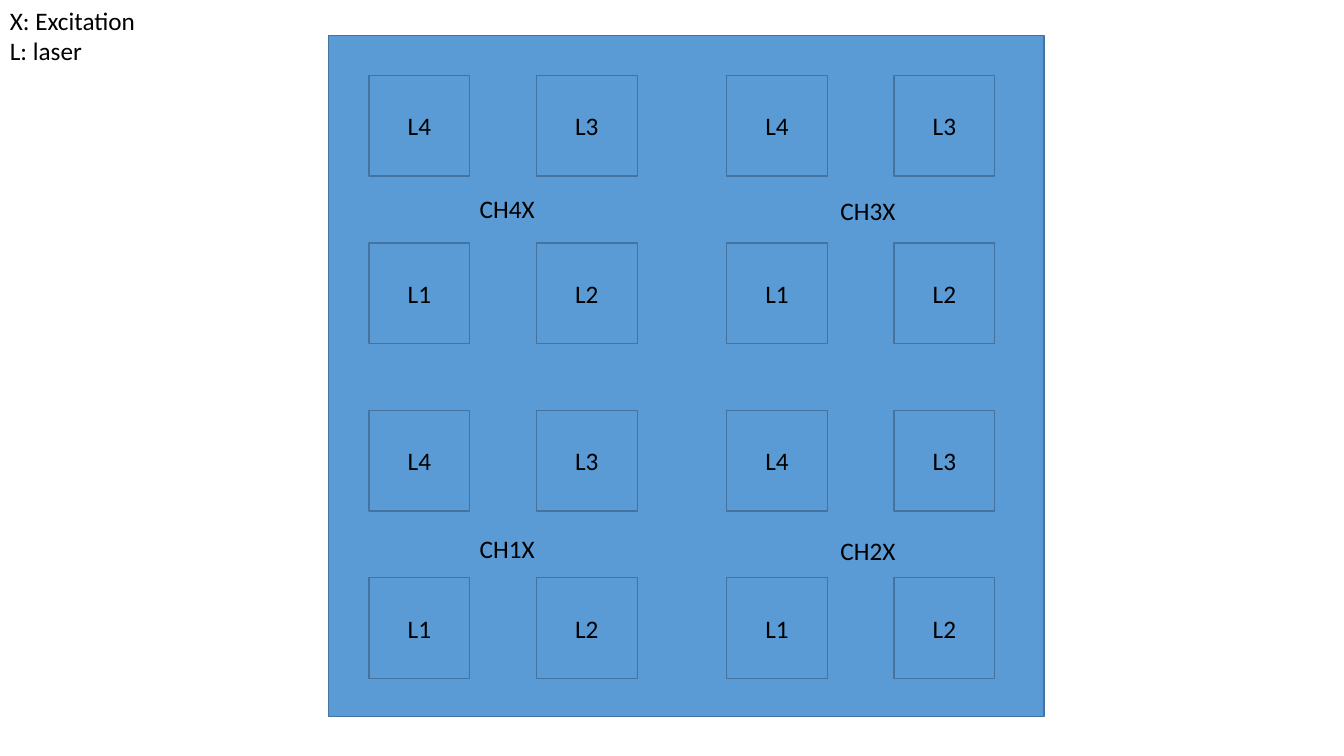
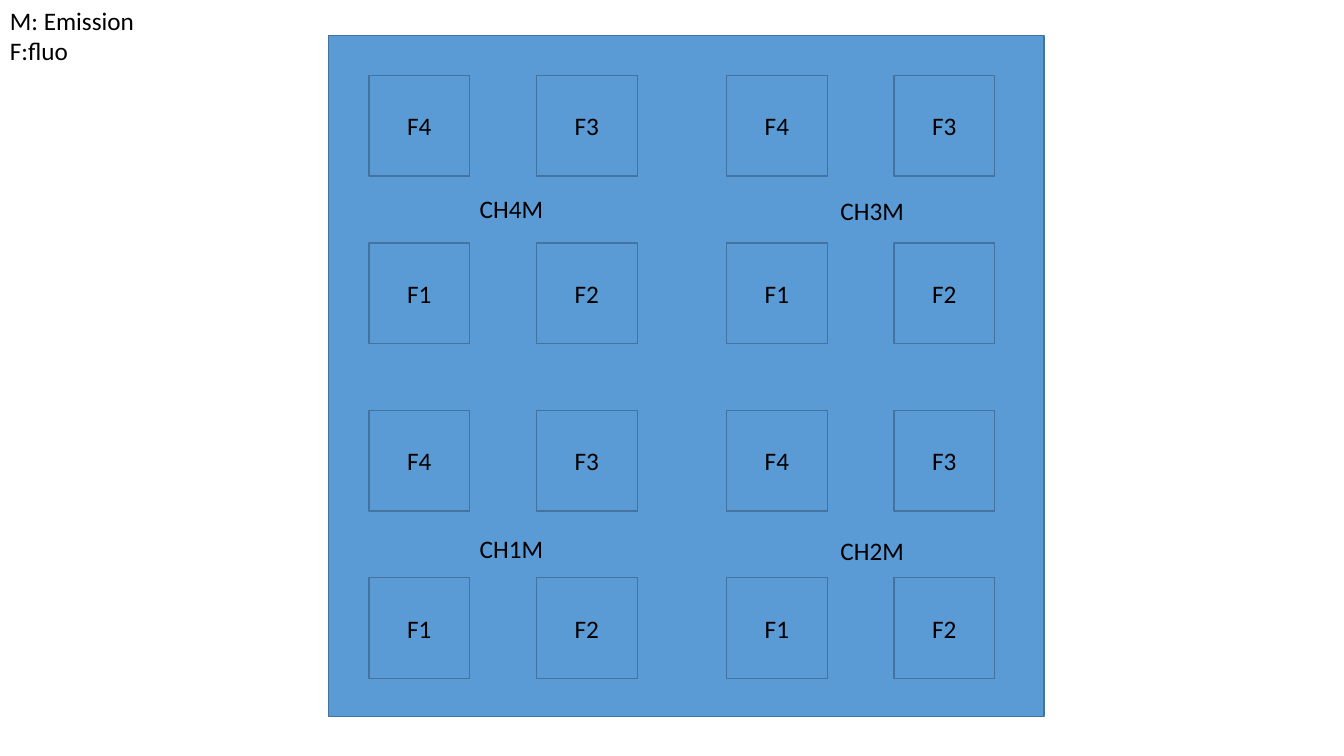
import pptx
import pptx.dml.color
import pptx.enum.shapes
import pptx.enum.text
import pptx.util

Cm = pptx.util.Cm
Pt = pptx.util.Pt
RGBColor = pptx.dml.color.RGBColor
PP_ALIGN = pptx.enum.text.PP_ALIGN

BLUE = RGBColor(0x5B, 0x9B, 0xD5)
DARK_BLUE = RGBColor(0x43, 0x73, 0x9E)
BLACK = RGBColor(0, 0, 0)
FONT = "Calibri"

# All lengths below are in centimetres.
PANEL = (8.28, 0.89, 18.03, 17.17)
CELL = 2.54
CELL_PITCH = 4.22
CELL_NUMBERS = ((4, 3), (1, 2))

# Channel number, corner of its first cell, corner of its caption
CHANNELS = (
    (4, (9.3, 1.9), (11.84, 4.75)),
    (3, (18.31, 1.9), (20.93, 4.8)),
    (1, (9.3, 10.34), (11.84, 13.31)),
    (2, (18.31, 10.34), (20.93, 13.36)),
)

# Legend lines, channel suffix, cell prefix
LAYOUTS = (
    (("X: Excitation", "L: laser"), "X", "L"),
    (("M: Emission", "F:fluo"), "M", "F"),
)


def add_run(paragraph, text):
    run = paragraph.add_run()
    run.text = text
    run.font.name = FONT
    run.font.size = Pt(18)
    run.font.color.rgb = BLACK


def add_box(slide, left, top, width, height, label=None):
    box = slide.shapes.add_shape(
        pptx.enum.shapes.MSO_SHAPE.RECTANGLE,
        Cm(left), Cm(top), Cm(width), Cm(height))
    box.shadow.inherit = False
    box.fill.solid()
    box.fill.fore_color.rgb = BLUE
    box.line.color.rgb = DARK_BLUE
    box.line.width = Pt(1)
    if label:
        box.text_frame.vertical_anchor = pptx.enum.text.MSO_ANCHOR.MIDDLE
        paragraph = box.text_frame.paragraphs[0]
        paragraph.alignment = PP_ALIGN.CENTER
        add_run(paragraph, label)


def add_text(slide, left, top, width, height, lines):
    frame = slide.shapes.add_textbox(
        Cm(left), Cm(top), Cm(width), Cm(height)).text_frame
    frame.word_wrap = True
    for index, line in enumerate(lines):
        paragraph = frame.add_paragraph() if index else frame.paragraphs[0]
        add_run(paragraph, line)


def add_channel(slide, cell_corner, cell_prefix):
    """Draw the two-by-two block of labelled cells of one channel."""
    left, top = cell_corner
    for row, numbers in enumerate(CELL_NUMBERS):
        for column, number in enumerate(numbers):
            add_box(slide, left + column * CELL_PITCH, top + row * CELL_PITCH,
                    CELL, CELL, f"{cell_prefix}{number}")


def add_layout_slide(presentation, legend, suffix, cell_prefix):
    slide = presentation.slides.add_slide(presentation.slide_layouts[6])
    add_box(slide, *PANEL)
    for number, cell_corner, caption_corner in CHANNELS:
        add_channel(slide, cell_corner, cell_prefix)
        add_text(slide, *caption_corner, 2.2, 1.03, [f"CH{number}{suffix}"])
    add_text(slide, 0, 0, 4, 1.8, legend)


def main():
    presentation = pptx.Presentation()
    presentation.slide_width = Cm(33.87)
    presentation.slide_height = Cm(19.05)
    for legend, suffix, cell_prefix in LAYOUTS:
        add_layout_slide(presentation, legend, suffix, cell_prefix)
    presentation.save("out.pptx")


if __name__ == "__main__":
    main()
